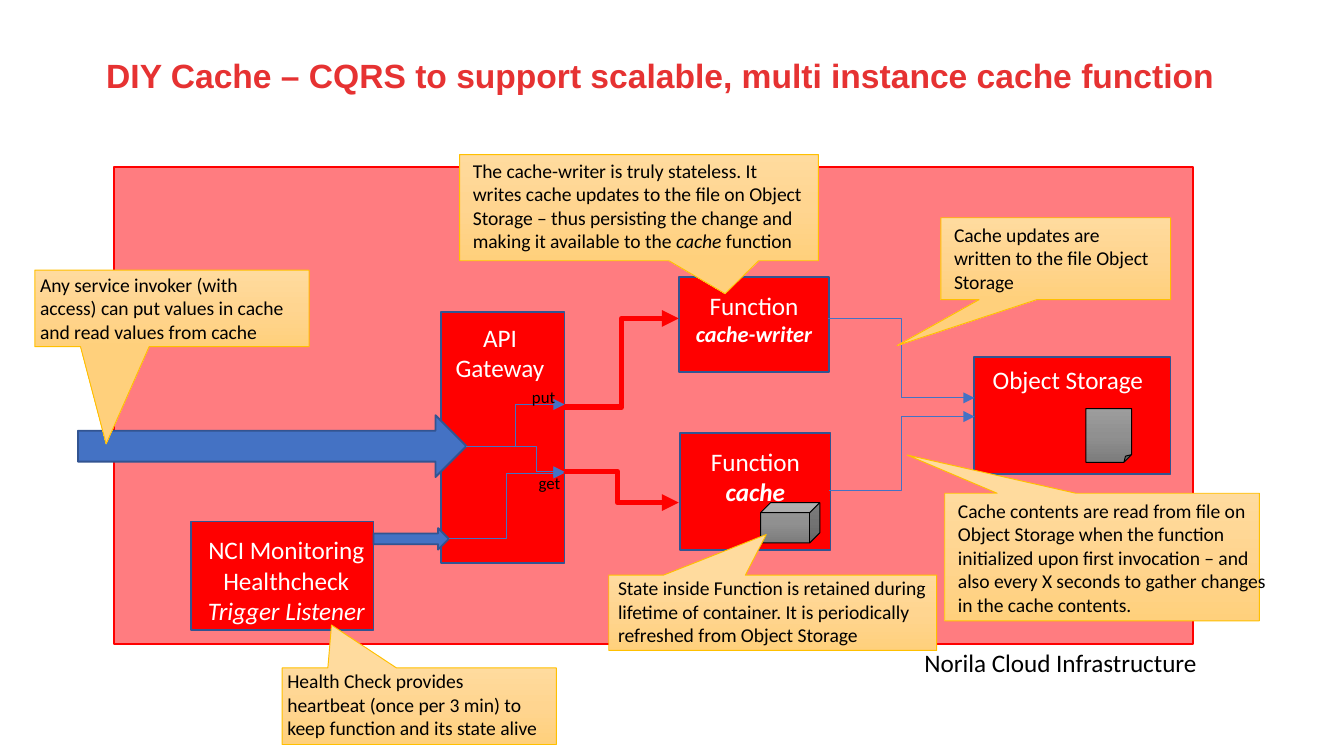
from copy import deepcopy

from lxml.etree import SubElement
from pptx import Presentation
from pptx.dml.color import RGBColor
from pptx.enum.shapes import MSO_CONNECTOR as CONNECTOR, MSO_SHAPE as SHAPE
from pptx.enum.text import MSO_ANCHOR as ANCHOR, MSO_AUTO_SIZE as AUTO_SIZE, PP_ALIGN as ALIGN
from pptx.oxml.ns import qn
from pptx.util import Inches, Pt

RED, BLUE, NAVY, BLACK, WHITE = "FF0000", "4472C4", "325491", "000000", "FFFFFF"
GOLD_STOPS = ["FFDB9E", "FFD590", "FFD07C"]
GREY_STOPS = ["9D9D9D", "909090", "7C7C7C"]


def color(value):
    """Turn a hex string into a colour."""
    return RGBColor.from_string(value)


def add_text(slide, box, text, size=10.5, font="Calibri", fill=BLACK, bold=False,
             align=ALIGN.LEFT, wrap=True, grow=True, inset=None, anchor=ANCHOR.TOP,
             spacing=None):
    """Add text given as a string, or as paragraphs of (text, overrides) runs."""
    shape = slide.shapes.add_textbox(*map(Inches, box))
    frame = shape.text_frame
    frame.word_wrap = wrap
    frame.auto_size = AUTO_SIZE.SHAPE_TO_FIT_TEXT if grow else AUTO_SIZE.NONE
    frame.vertical_anchor = anchor
    if inset is not None:
        frame.margin_left = frame.margin_right = Inches(inset)
        frame.margin_top = frame.margin_bottom = Inches(inset)
    paragraphs = [[(text, {})]] if isinstance(text, str) else text
    for index, runs in enumerate(paragraphs):
        paragraph = frame.add_paragraph() if index else frame.paragraphs[0]
        paragraph.alignment = align
        if spacing:
            paragraph.line_spacing = spacing
        for content, overrides in runs:
            run = paragraph.add_run()
            run.text = content
            run.font.name = font
            run.font.size = Pt(overrides.get("size", size))
            run.font.bold = overrides.get("bold", bold)
            run.font.italic = overrides.get("italic", False)
            run.font.color.rgb = color(fill)
    return shape


def add_block(slide, kind, box, fill, line, width=1):
    """Add a preset shape with a plain fill or a list of gradient stops."""
    shape = slide.shapes.add_shape(kind, *map(Inches, box))
    shape.shadow.inherit = False
    if isinstance(fill, str):
        shape.fill.solid()
        shape.fill.fore_color.rgb = color(fill)
    else:
        shape.fill.gradient()
        shape.fill.gradient_angle = 270
        first = next(shape._element.iter(qn("a:gs")))
        first.addnext(deepcopy(first))
        for stop, position, value in zip(shape.fill.gradient_stops, (0, 0.5, 1), fill):
            stop.position = position
            stop.color.rgb = color(value)
    shape.line.color.rgb = color(line)
    shape.line.width = Pt(width)
    return shape


def add_elbow(slide, start, end, line=BLUE, width=0.5, bend=0.5):
    """Add an elbow connector that ends in an arrowhead."""
    connector = slide.shapes.add_connector(
        CONNECTOR.ELBOW, *map(Inches, (*start, *end)))
    connector.line.color.rgb = color(line)
    connector.line.width = Pt(width)
    properties = connector._element.spPr
    SubElement(properties.find(qn("a:ln")), qn("a:tailEnd"), type="triangle")
    SubElement(properties, qn("a:effectLst"))
    guides = properties.find(qn("a:prstGeom")).find(qn("a:avLst"))
    SubElement(guides, qn("a:gd"), name="adj1", fmla=f"val {round(bend * 100000)}")


def add_service(slide, box, text, text_width, text_height, drop=0.05):
    """Add a red service box with its centred name at the top."""
    left, top = box[:2]
    add_block(slide, SHAPE.RECTANGLE, box, RED, NAVY)
    add_text(slide, (left, top + drop, text_width, text_height), text,
             size=13.5, fill=WHITE, align=ALIGN.CENTER)


def add_callout(slide, box, tip, text, text_height=0.63, shift=(0, -0.01),
                text_width=None):
    """Add a gold callout whose text is shifted from its corner."""
    left, top, width = box[:3]
    shape = add_block(slide, SHAPE.RECTANGULAR_CALLOUT, box, GOLD_STOPS, "FFC000", 0.5)
    for index, value in enumerate(tip):
        shape.adjustments[index] = value
    add_text(slide, (left + shift[0], top + shift[1], text_width or width, text_height),
             text)


def add_services(slide):
    """Place the cloud panel, its services and the stored items."""
    add_block(slide, SHAPE.RECTANGLE, (0.85, 1.24, 8.03, 3.55), "FF7C80", RED)
    add_text(slide, (6.78, 4.77, 2.29, 0.33), "Norila Cloud Infrastructure",
             size=13.5, wrap=False)
    emphasis = {"bold": True, "italic": True}
    add_service(slide, (3.28, 2.32, 0.92, 1.87), "API Gateway", 0.88, 0.56, 0.03)
    add_service(slide, (5.05, 2.06, 1.12, 0.71),
                [[("Function", {})], [("cache-writer", {"size": 12, **emphasis})]],
                1.12, 0.53)
    add_service(slide, (5.06, 3.22, 1.12, 0.87),
                [[("Function", {})], [("cache", emphasis)]], 1.12, 0.56)
    add_service(slide, (7.25, 2.66, 1.46, 0.87), "Object Storage", 1.39, 0.33, 0)
    add_service(slide, (1.42, 3.88, 1.36, 0.81),
                [[("NCI Monitoring Healthcheck", {})],
                 [("Trigger Listener", {"italic": True})]], 1.42, 0.78)
    add_block(slide, SHAPE.FOLDED_CORNER, (8.08, 3.04, 0.34, 0.4), GREY_STOPS, BLACK, 0.5)
    add_block(slide, SHAPE.CUBE, (5.66, 3.74, 0.44, 0.3), GREY_STOPS, BLACK, 0.5)


def add_flows(slide):
    """Place the arrows and connectors between the services."""
    for box in ((2.78, 3.93, 0.56, 0.16), (0.58, 3.09, 2.89, 0.46)):
        add_block(slide, SHAPE.RIGHT_ARROW, box, BLUE, NAVY)
    add_elbow(slide, (4.2, 3.03), (5.05, 2.37), RED, 3)
    add_elbow(slide, (4.14, 3.51), (5.05, 3.74), RED, 3)
    add_elbow(slide, (6.16, 2.37), (7.25, 2.96))
    add_elbow(slide, (6.17, 3.65), (7.25, 3.1))
    add_elbow(slide, (3.34, 4.01), (4.2, 3.52))
    add_elbow(slide, (3.47, 3.32), (4.2, 3.51), bend=0.72)
    add_elbow(slide, (3.47, 3.32), (4.2, 3.01))
    add_text(slide, (3.86, 2.83, 0.38, 0.25), "put", size=9, wrap=False)
    add_text(slide, (3.91, 3.47, 0.37, 0.25), "get", size=9, wrap=False)


def add_callouts(slide):
    """Place the explanations around the services."""
    add_callout(slide, (4.53, 4.28, 2.44, 0.56), (-0.02, -1.04),
                "State inside Function is retained during lifetime of container. "
                "It is periodically refreshed from Object Storage",
                shift=(-0.03, -0.04), text_width=2.88)
    add_callout(slide, (7.03, 3.67, 2.34, 0.95), (-0.62, -0.8),
                "Cache contents are read from file on Object Storage when the function "
                "initialized upon first invocation – and also every X seconds to gather "
                "changes in the cache contents.", 0.98, text_width=2.5)
    add_callout(slide, (2.1, 4.97, 2.04, 0.57), (-0.32, -1.06),
                "Health Check provides heartbeat (once per 3 min) to keep function "
                "and its state alive", shift=(-0.06, -0.04), text_width=2.1)
    add_callout(slide, (0.26, 2.01, 2.04, 0.57), (-0.24, 1.77),
                "Any service invoker (with access) can put values in cache and read "
                "values from cache", shift=(-0.06, -0.03), text_width=2.1)
    add_callout(slide, (7, 1.62, 1.71, 0.61), (-0.69, 1.06),
                "Cache updates are written to the file Object Storage")
    add_callout(slide, (3.42, 1.15, 2.67, 0.79), (0.24, 0.81),
                [[("The cache-writer is truly stateless. It writes cache updates to the "
                   "file on Object Storage – thus persisting the change and making it "
                   "available to the ", {}),
                  ("cache ", {"italic": True}), ("function", {})]], 0.81, (0, -0.02))


def main():
    """Build and save the presentation."""
    presentation = Presentation()
    presentation.slide_width = Inches(10)
    presentation.slide_height = Inches(10) * 9 // 16
    slide = presentation.slides.add_slide(presentation.slide_layouts[6])
    add_services(slide)
    add_flows(slide)
    add_callouts(slide)
    add_text(slide, (0.79, 0.31, 8.45, 0.55),
             "DIY Cache – CQRS to support scalable, multi instance cache function",
             size=18, font="Arial", fill="E63232", bold=True, grow=False, inset=0,
             anchor=ANCHOR.MIDDLE, spacing=0.85)
    presentation.save("out.pptx")


if __name__ == "__main__":
    main()
